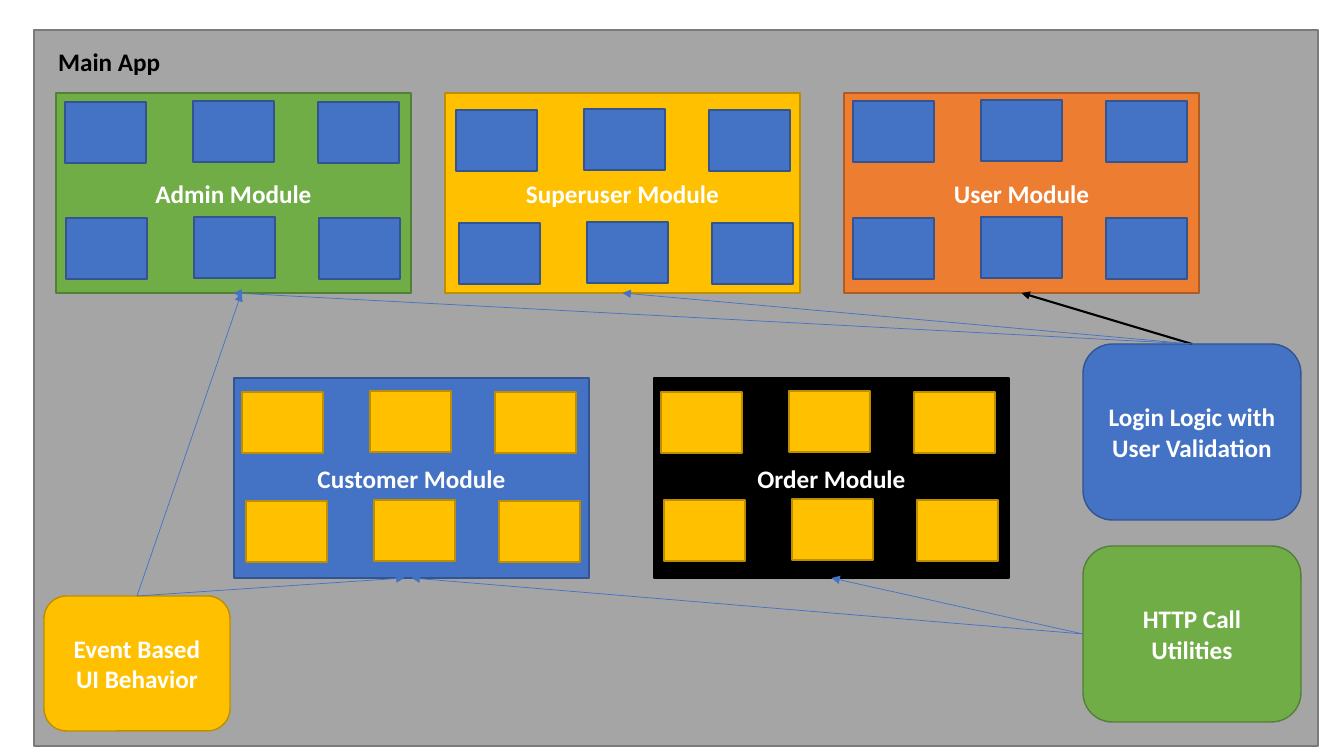
from dataclasses import dataclass

from lxml.etree import SubElement
from pptx import Presentation
from pptx.dml.color import RGBColor
from pptx.enum.shapes import MSO_CONNECTOR, MSO_SHAPE
from pptx.enum.text import MSO_ANCHOR, MSO_AUTO_SIZE, PP_ALIGN
from pptx.oxml.ns import qn
from pptx.shapes.autoshape import Shape
from pptx.slide import Slide
from pptx.text.text import TextFrame
from pptx.util import Pt

EMU_PER_PIXEL = 914400 / 100.8

WHITE = RGBColor(0xFF, 0xFF, 0xFF)
BLACK = RGBColor(0x00, 0x00, 0x00)
GRAY = RGBColor(0xA5, 0xA5, 0xA5)
GREEN = RGBColor(0x70, 0xAD, 0x47)
GOLD = RGBColor(0xFF, 0xC0, 0x00)
ORANGE = RGBColor(0xED, 0x7D, 0x31)
BLUE = RGBColor(0x44, 0x72, 0xC4)
OUTLINES = {
    GRAY: RGBColor(0x7A, 0x7A, 0x7A),
    GREEN: RGBColor(0x53, 0x80, 0x35),
    GOLD: RGBColor(0xBD, 0x8E, 0x00),
    ORANGE: RGBColor(0xAF, 0x5C, 0x24),
    BLUE: RGBColor(0x32, 0x54, 0x91),
    BLACK: BLACK,
}

MODULE_WIDTH, MODULE_HEIGHT = 355, 200
COMPONENT_WIDTH, COMPONENT_HEIGHT = 81, 61
COMPONENT_OFFSETS = ((0, 0), (128, -1), (253, 0))
TOP, LEFT, BOTTOM = 0, 1, 2


@dataclass(frozen=True)
class Box:
    left: int
    top: int
    width: int
    height: int
    fill: RGBColor
    text: str = ""
    kind: MSO_SHAPE = MSO_SHAPE.RECTANGLE


@dataclass(frozen=True)
class Module:
    name: str
    left: int
    top: int
    fill: RGBColor
    component_fill: RGBColor
    row_starts: tuple[tuple[int, int], ...]


@dataclass(frozen=True)
class Arrow:
    source: str
    site: int
    target: str
    shift: int = 0
    color: RGBColor = BLUE
    weight: float = 0.5


MODULES = (
    Module("Admin Module", 56, 93, GREEN, BLUE, ((65, 102), (66, 218))),
    Module("Superuser Module", 445, 93, GOLD, BLUE, ((456, 110), (459, 223))),
    Module("User Module", 844, 93, ORANGE, BLUE, ((853, 101), (853, 218))),
    Module("Customer Module", 234, 378, BLUE, GOLD, ((242, 392), (246, 501))),
    Module("Order Module", 654, 378, BLACK, GOLD, ((661, 392), (664, 500))),
)

LOGIN = "Login Logic with User Validation"
HTTP = "HTTP Call Utilities"
EVENTS = "Event Based UI Behavior"
SERVICES = (
    Box(1083, 344, 218, 176, BLUE, LOGIN, MSO_SHAPE.ROUNDED_RECTANGLE),
    Box(1083, 546, 218, 176, GREEN, HTTP, MSO_SHAPE.ROUNDED_RECTANGLE),
    Box(44, 596, 186, 135, GOLD, EVENTS, MSO_SHAPE.ROUNDED_RECTANGLE),
)

ARROWS = (
    Arrow(LOGIN, TOP, "User Module", color=BLACK, weight=1.5),
    Arrow(LOGIN, TOP, "Superuser Module"),
    Arrow(LOGIN, TOP, "Admin Module"),
    Arrow(EVENTS, TOP, "Admin Module", shift=8),
    Arrow(EVENTS, TOP, "Customer Module", shift=-7),
    Arrow(HTTP, LEFT, "Order Module"),
    Arrow(HTTP, LEFT, "Customer Module"),
)


def emu(pixels: int) -> int:
    return round(pixels * EMU_PER_PIXEL)


def write_label(text_frame: TextFrame, text: str, color: RGBColor,
                alignment: PP_ALIGN, anchor: MSO_ANCHOR) -> None:
    text_frame.text = text
    text_frame.word_wrap = True
    text_frame.vertical_anchor = anchor
    paragraph = text_frame.paragraphs[0]
    paragraph.alignment = alignment
    paragraph.line_spacing = 1.0
    paragraph.space_before = Pt(0)
    font = paragraph.runs[0].font
    font.name = "Calibri"
    font.size = Pt(18)
    font.bold = True
    font.color.rgb = color


def draw_box(slide: Slide, box: Box) -> Shape:
    shape = slide.shapes.add_shape(
        box.kind, emu(box.left), emu(box.top), emu(box.width), emu(box.height))
    shape.shadow.inherit = False
    shape.fill.solid()
    shape.fill.fore_color.rgb = box.fill
    shape.line.color.rgb = OUTLINES[box.fill]
    shape.line.width = Pt(1)
    if box.text:
        write_label(shape.text_frame, box.text, WHITE,
                    PP_ALIGN.CENTER, MSO_ANCHOR.MIDDLE)
    return shape


def draw_title(slide: Slide) -> None:
    title = slide.shapes.title
    title.left, title.top = emu(48), emu(41)
    title.width, title.height = emu(265), emu(40)
    write_label(title.text_frame, "Main App", BLACK,
                PP_ALIGN.LEFT, MSO_ANCHOR.TOP)
    title.text_frame.auto_size = MSO_AUTO_SIZE.SHAPE_TO_FIT_TEXT
    title.element.getparent().append(title.element)


def draw_components(slide: Slide, module: Module) -> None:
    for row_left, row_top in module.row_starts:
        for across, down in COMPONENT_OFFSETS:
            draw_box(slide, Box(row_left + across, row_top + down,
                                COMPONENT_WIDTH, COMPONENT_HEIGHT,
                                module.component_fill))


def draw_arrow(slide: Slide, arrow: Arrow, nodes: dict[str, Shape]) -> None:
    target = nodes[arrow.target]
    connector = slide.shapes.add_connector(
        MSO_CONNECTOR.STRAIGHT, 0, 0,
        target.left + target.width // 2 + emu(arrow.shift),
        target.top + target.height)
    connector.begin_connect(nodes[arrow.source], arrow.site)
    if not arrow.shift:
        connector.end_connect(target, BOTTOM)
    connector.line.color.rgb = arrow.color
    connector.line.width = Pt(arrow.weight)
    properties = connector.element.spPr
    SubElement(properties.find(qn("a:ln")), qn("a:tailEnd"), type="triangle")
    SubElement(properties, qn("a:effectLst"))


def main() -> None:
    presentation = Presentation()
    presentation.slide_width = emu(1344)
    presentation.slide_height = emu(756)
    slide = presentation.slides.add_slide(presentation.slide_layouts[5])
    draw_box(slide, Box(34, 30, 1284, 716, GRAY))
    draw_title(slide)
    nodes = {
        module.name: draw_box(slide, Box(module.left, module.top, MODULE_WIDTH,
                                         MODULE_HEIGHT, module.fill, module.name))
        for module in MODULES
    }
    for module in MODULES:
        draw_components(slide, module)
    for service in SERVICES:
        nodes[service.text] = draw_box(slide, service)
    for arrow in ARROWS:
        draw_arrow(slide, arrow, nodes)
    presentation.save("out.pptx")


main()
